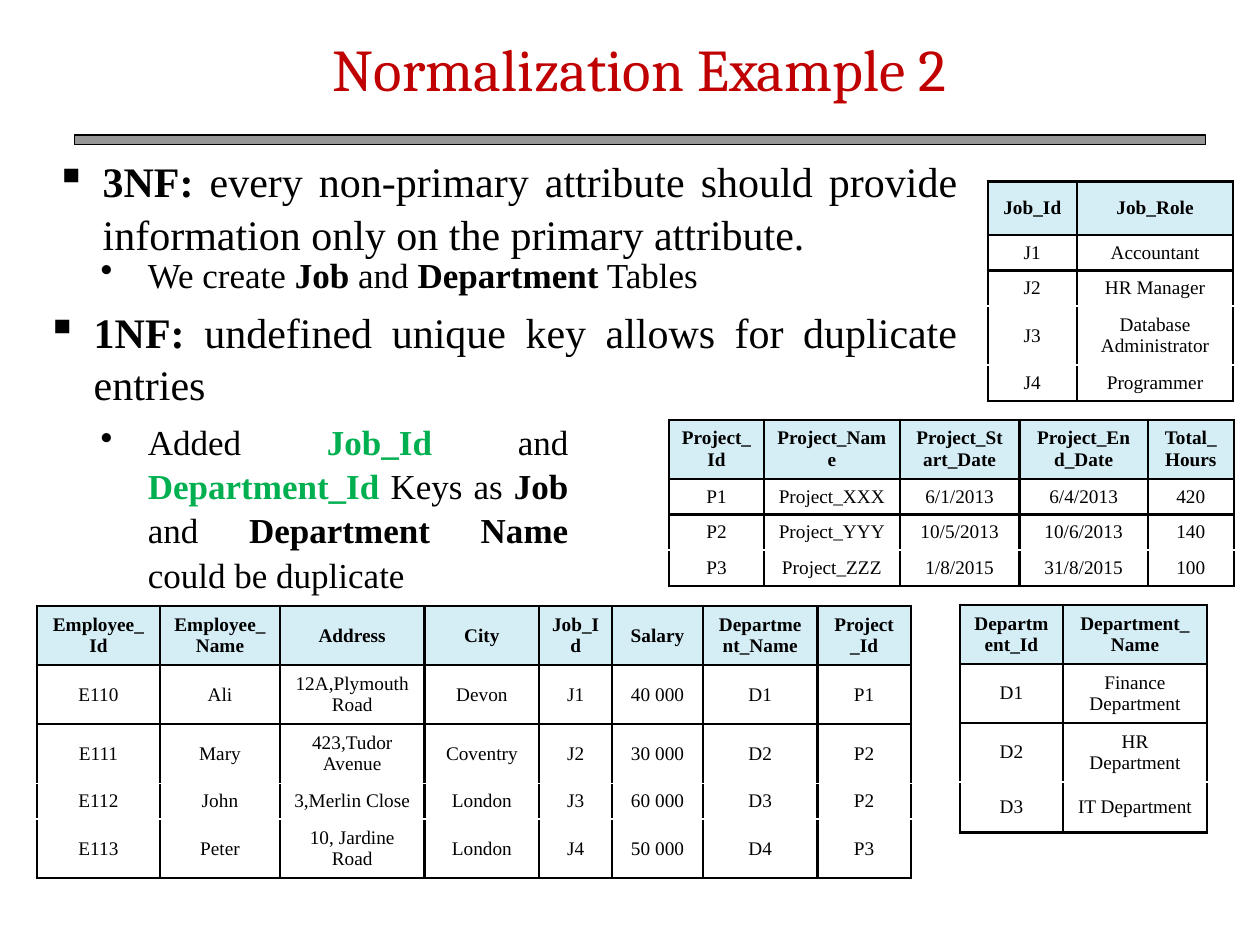
"""Build the Normalization Example 2 slide."""
from dataclasses import dataclass

import pptx
import pptx.dml.color
import pptx.enum.shapes
import pptx.enum.text
import pptx.oxml
import pptx.oxml.ns
import pptx.util
from pptx.util import Cm

ALIGN = pptx.enum.text.PP_ALIGN
ANCHOR = pptx.enum.text.MSO_ANCHOR


@dataclass(frozen=True)
class Theme:
    """Colours, fonts and type sizes of the slide."""
    body_font: str = "Times New Roman"
    title_font: str = "Cambria"
    title_size: float = 33.8
    point_size: int = 24
    detail_size: int = 20
    cell_size: int = 11
    border_width: float = 1.5
    text: str = "000000"
    title: str = "C00000"
    key: str = "00B050"
    rule: str = "969696"
    header: str = "D5EDF5"
    cell: str = "FFFFFF"


T = Theme()


def rgb(value):
    """Return a colour from its hex value."""
    return pptx.dml.color.RGBColor.from_string(value)


def style_run(r, size, color=T.text, bold=False, name=T.body_font):
    """Set the font of a run."""
    r.font.name = name
    r.font.size = pptx.util.Pt(size)
    r.font.bold = bold
    r.font.color.rgb = rgb(color)


def add_box(s, box, inset):
    """Add a wrapping text box and return its text frame."""
    tf = s.shapes.add_textbox(*map(Cm, box)).text_frame
    tf.word_wrap = True
    tf.margin_left = tf.margin_right = Cm(inset)
    tf.margin_top = tf.margin_bottom = Cm(0.13)
    return tf


def add_title(s, text, box):
    """Add the centred slide title."""
    tf = add_box(s, box, 0.13)
    tf.vertical_anchor = ANCHOR.MIDDLE
    tf.text = text
    p = tf.paragraphs[0]
    p.alignment = ALIGN.CENTER
    style_run(p.runs[0], T.title_size, T.title, name=T.title_font)


def add_bullet(s, box, char, size, inset, parts):
    """Add a justified bullet made of (text, bold, colour) parts."""
    tf = add_box(s, box, inset)
    tf.auto_size = pptx.enum.text.MSO_AUTO_SIZE.SHAPE_TO_FIT_TEXT
    p = tf.paragraphs[0]
    p.alignment = ALIGN.JUSTIFY
    p.line_spacing = 1.05
    pPr = p._p.get_or_add_pPr()
    pPr.set("marL", str(Cm(0.95)))
    pPr.set("indent", str(-Cm(0.95)))
    pptx.oxml.ns.qn("a:buChar")
    bu = pptx.oxml.parse_xml(f'<a:buChar {pptx.oxml.ns.nsdecls("a")} char="{char}"/>')
    pPr.append(bu)
    for text, bold, color in parts:
        r = p.add_run()
        r.text = text
        style_run(r, size, color, bold)


def add_point(s, box, parts):
    """Add a first-level bullet."""
    add_bullet(s, box, "▪", T.point_size, 0.13, parts)


def add_detail(s, box, parts):
    """Add a second-level bullet."""
    add_bullet(s, box, "•", T.detail_size, 0.25, parts)


def add_border(cell, side):
    """Draw one side (L, R, T or B) of a cell."""
    ns = pptx.oxml.ns.nsdecls("a")
    width = pptx.util.Pt(T.border_width)
    cell._tc.get_or_add_tcPr().append(pptx.oxml.parse_xml(
        f'<a:ln{side} {ns} w="{width}"><a:solidFill><a:srgbClr val="{T.text}"/>'
        f'</a:solidFill></a:ln{side}>'))


def add_grid(s, left, top, widths, heights, rows):
    """Add a table with a tinted header and no lines between body rows."""
    last = len(rows) - 1
    tbl = s.shapes.add_table(len(rows), len(widths), Cm(left), Cm(top),
                             Cm(sum(widths)), Cm(sum(heights))).table
    tbl.horz_banding = False
    for col, width in zip(tbl.columns, widths):
        col.width = Cm(width)
    for i, (row, height, values) in enumerate(zip(tbl.rows, heights, rows)):
        row.height = Cm(height)
        sides = "LR" + "T" * (i <= 1) + "B" * (i in (0, last))
        for cell, value in zip(row.cells, values):
            for side in sides:
                add_border(cell, side)
            cell.fill.solid()
            cell.fill.fore_color.rgb = rgb(T.cell if i else T.header)
            cell.vertical_anchor = ANCHOR.MIDDLE
            cell.text_frame.text = value
            p = cell.text_frame.paragraphs[0]
            p.alignment = ALIGN.CENTER
            style_run(p.runs[0], T.cell_size, bold=i == 0)


def add_rule(s, box):
    """Add the grey bar under the title."""
    sp = s.shapes.add_shape(pptx.enum.shapes.MSO_SHAPE.RECTANGLE, *map(Cm, box))
    sp.shadow.inherit = False
    sp.fill.solid()
    sp.fill.fore_color.rgb = rgb(T.rule)
    sp.line.color.rgb = rgb(T.text)
    sp.line.width = pptx.util.Pt(0.75)


def main():
    """Build and save the slide."""
    prs = pptx.Presentation()
    prs.slide_width, prs.slide_height = Cm(25.4), Cm(19.05)
    s = prs.slides.add_slide(prs.slide_layouts[6])

    add_title(s, "Normalization Example 2", (2.11, 0.25, 21.59, 2.24))
    add_rule(s, (1.5, 2.72, 22.81, 0.2))
    add_point(s, (0.99, 2.95, 18.44, 2.31), [
        ("3NF: ", True, T.text),
        ("every non-primary attribute should provide information only "
         "on the primary attribute.", False, T.text)])
    add_detail(s, (1.78, 4.93, 21.97, 1.12), [
        ("We create ", False, T.text), ("Job", True, T.text),
        (" and ", False, T.text), ("Department", True, T.text),
        (" Tables", False, T.text)])
    add_point(s, (0.81, 5.99, 18.62, 2.31), [
        ("1NF: ", True, T.text),
        ("undefined unique key allows for duplicate entries", False, T.text)])
    add_detail(s, (1.78, 8.31, 9.93, 3.68), [
        ("Added ", False, T.text), ("Job_Id ", True, T.key),
        ("and", False, T.text), (" Department_Id ", True, T.key),
        ("Keys as ", False, T.text), ("Job ", True, T.text),
        ("and", False, T.text), (" Department Name ", True, T.text),
        ("could be duplicate", False, T.text)])

    one_line, two_lines = 0.72, 1.19
    add_grid(s, 0.74, 12.22, (2.49, 2.41, 2.92, 2.31, 1.47, 1.83, 2.31, 1.88),
             (two_lines, two_lines, two_lines, one_line, two_lines), [
        ("Employee_Id", "Employee_Name", "Address", "City", "Job_Id", "Salary",
         "Department_Name", "Project_Id"),
        ("E110", "Ali", "12A,Plymouth Road", "Devon", "J1", "40 000", "D1", "P1"),
        ("E111", "Mary", "423,Tudor Avenue", "Coventry", "J2", "30 000", "D2", "P2"),
        ("E112", "John", "3,Merlin Close", "London", "J3", "60 000", "D3", "P2"),
        ("E113", "Peter", "10, Jardine Road", "London", "J4", "50 000", "D4", "P3")])
    add_grid(s, 13.49, 8.46, (1.91, 2.74, 2.41, 2.59, 1.73),
             (two_lines, one_line, one_line, one_line), [
        ("Project_Id", "Project_Name", "Project_Start_Date", "Project_End_Date",
         "Total_Hours"),
        ("P1", "Project_XXX", "6/1/2013", "6/4/2013", "420"),
        ("P2", "Project_YYY", "10/5/2013", "10/6/2013", "140"),
        ("P3", "Project_ZZZ", "1/8/2015", "31/8/2015", "100")])
    add_grid(s, 19.91, 3.66, (1.8, 3.15),
             (1.07, one_line, one_line, two_lines, one_line), [
        ("Job_Id", "Job_Role"), ("J1", "Accountant"), ("J2", "HR Manager"),
        ("J3", "Database Administrator"), ("J4", "Programmer")])
    add_grid(s, 19.35, 12.19, (2.08, 2.9),
             (two_lines, two_lines, two_lines, 1.02), [
        ("Department_Id", "Department_Name"), ("D1", "Finance Department"),
        ("D2", "HR Department"), ("D3", "IT Department")])
    prs.save("out.pptx")


if __name__ == "__main__":
    main()
